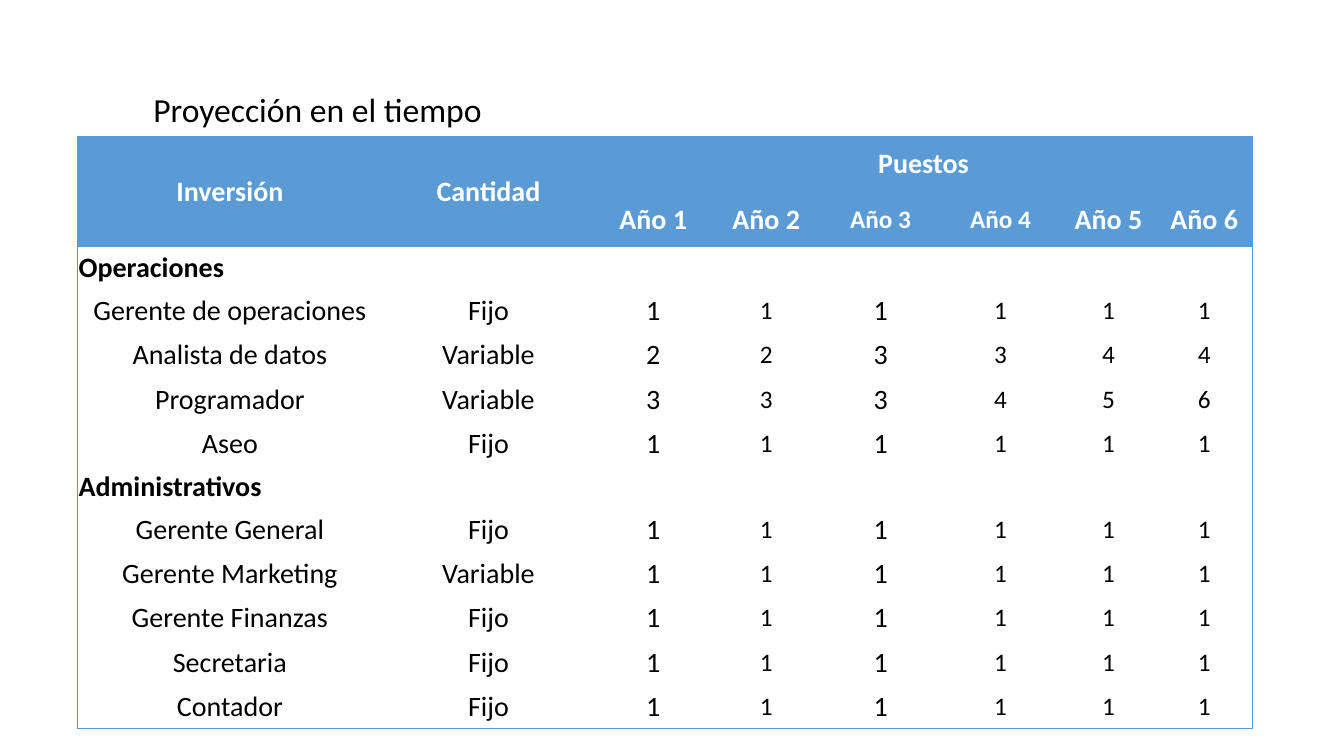
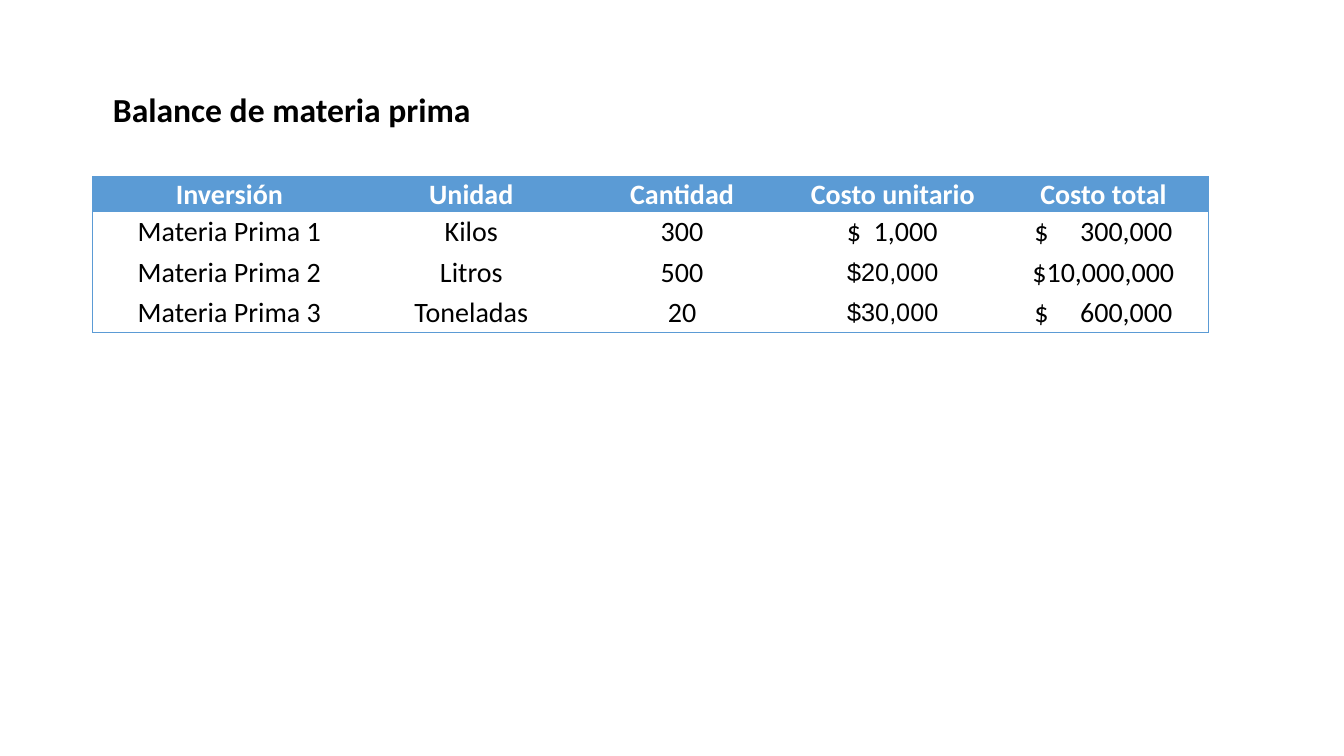
from lxml.etree import SubElement
from pptx import Presentation
from pptx.dml.color import RGBColor
from pptx.enum.text import MSO_ANCHOR, MSO_AUTO_SIZE, PP_ALIGN
from pptx.oxml.ns import qn
from pptx.util import Inches, Pt

BLUE, WHITE, BLACK = "5B9BD5", "FFFFFF", "000000"
BODY_FONT = "Calibri"
NO_STYLE_NO_GRID = "{2D5ABB26-0587-4C30-8999-92F81FD0307C}"

YEARS = [f"Año {year}" for year in range(1, 7)]
YEAR_HEADER_SIZES = (20, 20, 18, 18, 20, 20)
YEAR_VALUE_SIZES = (20, 18, 20, 18, 18, 18)
STAFF = {
    "Operaciones": [
        ("Gerente de operaciones", "Fijo", "111111"),
        ("Analista de datos", "Variable", "223344"),
        ("Programador", "Variable", "333456"),
        ("Aseo", "Fijo", "111111"),
    ],
    "Administrativos": [
        ("Gerente General", "Fijo", "111111"),
        ("Gerente Marketing", "Variable", "111111"),
        ("Gerente Finanzas", "Fijo", "111111"),
        ("Secretaria", "Fijo", "111111"),
        ("Contador", "Fijo", "111111"),
    ],
}
MATERIAL_HEADERS = ("Inversión", "Unidad", "Cantidad", "Costo unitario", "Costo total")
MATERIALS = [
    ("Materia Prima 1", "Kilos", "300", "$\t1,000", "$\t300,000"),
    ("Materia Prima 2", "Litros", "500", "$20,000", "$10,000,000"),
    ("Materia Prima 3", "Toneladas", "20", "$30,000", "$\t600,000"),
]
AMOUNT_SPANS = {3: (0.59, 0.9), 4: (0.36, 1.37)}


def color(value):
    """Turn a hex string into a colour."""
    return RGBColor.from_string(value)


def add_page(deck, title, indent, bold=False):
    """Add a title-only page with its heading indented from the left."""
    page = deck.slides.add_slide(deck.slide_layouts[5])
    heading = page.shapes.title
    heading.left, heading.top = Inches(0.92), Inches(0.88)
    heading.width, heading.height = Inches(11.5), Inches(0.46)
    frame = heading.text_frame
    frame.text = title
    frame.auto_size = MSO_AUTO_SIZE.NONE
    frame.vertical_anchor = MSO_ANCHOR.TOP
    frame.margin_left = Inches(0.1 + indent)
    para = frame.paragraphs[0]
    para.alignment = PP_ALIGN.LEFT
    para.line_spacing = 0.9
    style_font(para, 24, BLACK, bold)
    return page


def style_font(para, size, ink, bold=False, name=BODY_FONT):
    """Set the font of a whole paragraph."""
    font = para.font
    font.name, font.size, font.bold = name, Pt(size), bold
    font.color.rgb = color(ink)


def add_plain_table(page, left, top, widths, heights):
    """Add a table without style, sized by its columns and rows."""
    frame = page.shapes.add_table(
        len(heights), len(widths), Inches(left), Inches(top),
        Inches(sum(widths)), Inches(sum(heights)))
    for style in frame.element.iter(qn("a:tableStyleId")):
        style.text = NO_STYLE_NO_GRID
    table = frame.table
    table.first_row = table.horz_banding = False
    for column, width in zip(table.columns, widths):
        column.width = Inches(width)
    for row, height in zip(table.rows, heights):
        row.height = Inches(height)
    return table


def write_cell(cell, text, size=20, bold=False, ink=BLACK,
               align=PP_ALIGN.CENTER, name=BODY_FONT):
    """Write one formatted paragraph into a cell."""
    cell.text = text
    para = cell.text_frame.paragraphs[0]
    para.alignment = align
    style_font(para, size, ink, bold, name)


def write_header(cell, text, size=20):
    """Write a bold white heading into a cell."""
    write_cell(cell, text, size, True, WHITE)


def write_amount(cell, text, left, width):
    """Set the currency sign at the left and the figure at a right tab."""
    write_cell(cell, text, align=PP_ALIGN.LEFT)
    cell.margin_left = Inches(left)
    properties = cell.text_frame.paragraphs[0]._p.get_or_add_pPr()
    stops = properties.makeelement(qn("a:tabLst"), {})
    properties.insert(0, stops)
    SubElement(stops, qn("a:tab"), pos=str(Inches(width)), algn="r")


def add_border(cell, side):
    """Draw a thin blue line on one side of a cell."""
    properties = cell._tc.get_or_add_tcPr()
    line = SubElement(properties, qn(f"a:ln{side}"), w=str(Pt(0.5)))
    fill = SubElement(line, qn("a:solidFill"))
    SubElement(fill, qn("a:srgbClr"), val=BLUE)


def finish_table(table, header_rows):
    """Give all cells margins and fill, and frame the table."""
    row_count, column_count = len(table.rows), len(table.columns)
    for row in range(row_count):
        for column in range(column_count):
            cell = table.cell(row, column)
            cell.vertical_anchor = MSO_ANCHOR.MIDDLE
            cell.margin_left = cell.margin_right = cell.margin_top = Inches(0.01)
            cell.margin_bottom = 0
            edges = {
                "L": column == 0,
                "R": column + cell.span_width == column_count,
                "T": row == 0,
                "B": row + cell.span_height == row_count,
            }
            for side, on_edge in edges.items():
                if on_edge:
                    add_border(cell, side)
            if row < header_rows:
                cell.fill.solid()
                cell.fill.fore_color.rgb = color(BLUE)
            else:
                cell.fill.background()


def add_staff_table(page, left, top):
    """Place the table of posts per year, grouped by area."""
    widths = (3.02, 2.11, 1.16, 1.08, 1.19, 1.19, 0.95, 0.95)
    heights = [0.55, 0.55]
    for members in STAFF.values():
        heights += [0.41] + [0.44] * len(members)
    table = add_plain_table(page, left, top, widths, heights)
    last = len(widths) - 1
    for column, text in enumerate(("Inversión", "Cantidad")):
        table.cell(0, column).merge(table.cell(1, column))
        write_header(table.cell(0, column), text)
    table.cell(0, 2).merge(table.cell(0, last))
    write_header(table.cell(0, 2), "Puestos")
    for column, (year, size) in enumerate(zip(YEARS, YEAR_HEADER_SIZES), 2):
        write_header(table.cell(1, column), year, size)
    row = 2
    for area, members in STAFF.items():
        table.cell(row, 0).merge(table.cell(row, last))
        write_cell(table.cell(row, 0), area, bold=True, align=PP_ALIGN.LEFT)
        for row, (post, kind, counts) in enumerate(members, row + 1):
            write_cell(table.cell(row, 0), post)
            write_cell(table.cell(row, 1), kind)
            for column, (count, size) in enumerate(zip(counts, YEAR_VALUE_SIZES), 2):
                write_cell(table.cell(row, column), count, size)
        row += 1
    finish_table(table, 2)


def add_material_table(page, left, top):
    """Place the table of raw materials and their costs."""
    widths = [2.71] + [2.09] * 4
    heights = [0.34] + [0.4] * len(MATERIALS)
    table = add_plain_table(page, left, top, widths, heights)
    finish_table(table, 1)
    for column, text in enumerate(MATERIAL_HEADERS):
        write_header(table.cell(0, column), text)
    for row, values in enumerate(MATERIALS, 1):
        for column, text in enumerate(values):
            cell = table.cell(row, column)
            if "\t" in text:
                write_amount(cell, text, *AMOUNT_SPANS[column])
            elif column == 3:
                write_cell(cell, text, 18, name="Arial")
            else:
                write_cell(cell, text)


def main():
    """Build and save the deck."""
    deck = Presentation()
    deck.slide_width, deck.slide_height = Inches(13.33), Inches(7.5)
    add_staff_table(add_page(deck, "Proyección en el tiempo", 0.5), 0.77, 1.35)
    add_material_table(
        add_page(deck, "Balance de materia prima", 0.1, bold=True), 0.92, 1.75)
    deck.save("out.pptx")


if __name__ == "__main__":
    main()
